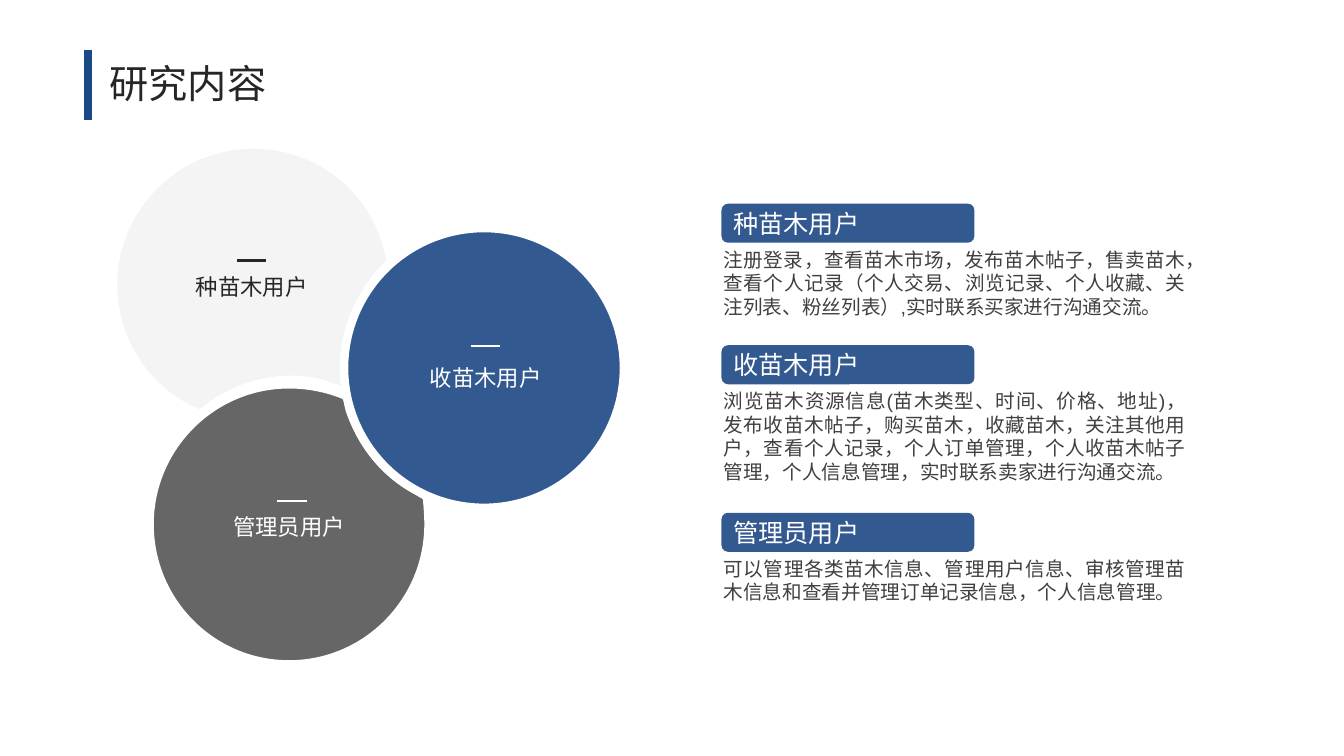
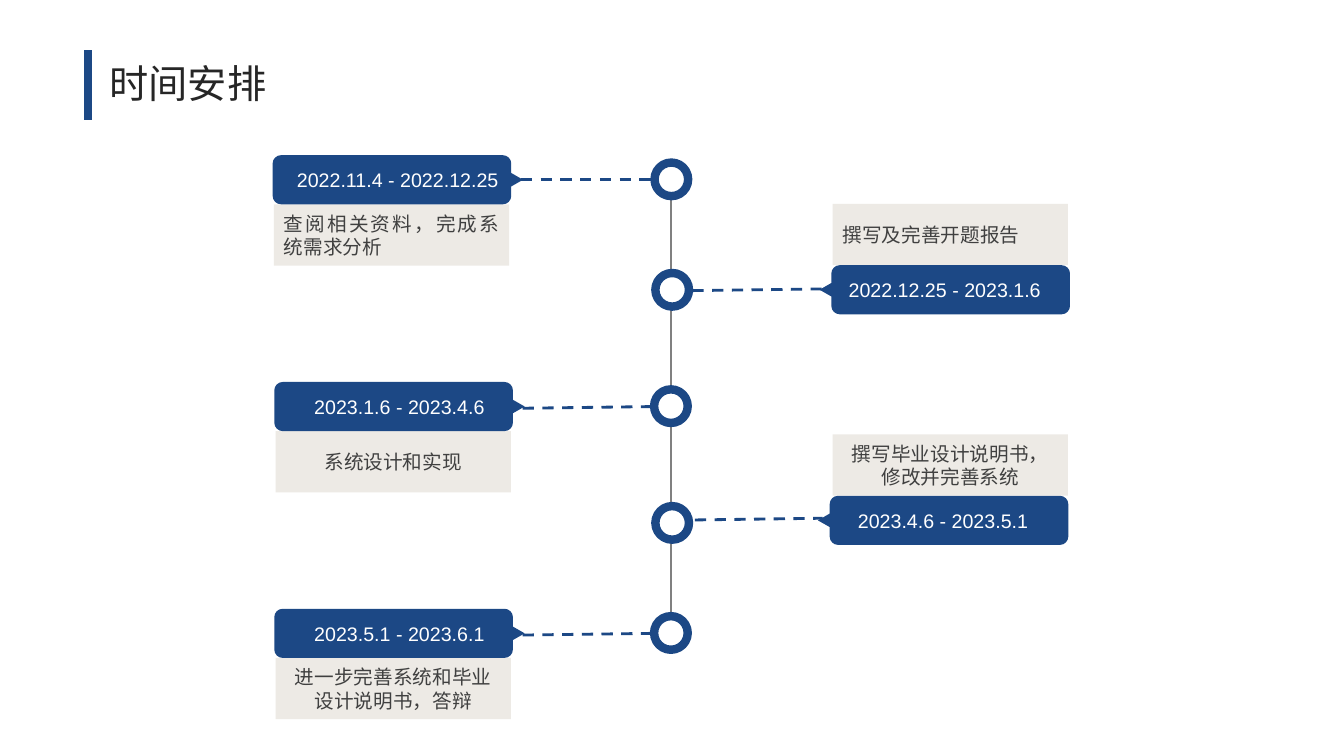
from dataclasses import dataclass

from lxml import etree
from pptx import Presentation
from pptx import util as u
from pptx.dml.color import RGBColor
from pptx.enum import dml, shapes, text
from pptx.oxml import ns


@dataclass(frozen=True)
class Theme:
    font: str = "Arial"
    blue: str = "1C4885"
    ink: str = "262626"
    body: str = "404040"
    pale: str = "F2F2F2"
    sand: str = "EDEAE5"
    gray: str = "808080"
    white: str = "FFFFFF"
    title: int = 28
    head: int = 18
    label: int = 16
    small: int = 14
    thick: int = 6
    thin: int = 2


T = Theme()
CELL = u.Inches(7.5) / 90
LEFT, MID, JUST = text.PP_ALIGN.LEFT, text.PP_ALIGN.CENTER, text.PP_ALIGN.JUSTIFY
TOP, CORE = text.MSO_ANCHOR.TOP, text.MSO_ANCHOR.MIDDLE
GROW = text.MSO_AUTO_SIZE.SHAPE_TO_FIT_TEXT
KIND = shapes.MSO_SHAPE
LINE = shapes.MSO_CONNECTOR.STRAIGHT


def write(item, words, size=T.small, color=T.body, align=MID, anchor=CORE,
          space=None, fit=text.MSO_AUTO_SIZE.NONE):
    frame = item.text_frame
    frame.word_wrap = True
    frame.auto_size = fit
    frame.vertical_anchor = anchor
    para = frame.paragraphs[0]
    para.alignment = align
    para.line_spacing = space
    run = para.add_run()
    run.text = words
    run.font.name = T.font
    run.font.size = u.Pt(size)
    run.font.color.rgb = RGBColor.from_string(color)


def paint(item, fill=None, alpha=100, line=None, width=0, dash=None, bend=""):
    if line:
        item.line.color.rgb = RGBColor.from_string(line)
        item.line.width = u.Pt(width)
        item.line.dash_style = dash
    else:
        item.line.fill.background()
    if fill:
        item.fill.solid()
        item.fill.fore_color.rgb = RGBColor.from_string(fill)
        item.shadow.inherit = False
        if alpha < 100:
            tone = item.element.spPr.find(ns.qn("a:solidFill"))[0]
            etree.SubElement(tone, ns.qn("a:alpha"), val=str(alpha * 1000))
    else:
        etree.SubElement(item.element.spPr, ns.qn("a:effectLst"))
    if bend:
        track = item.element.spPr.find(".//" + ns.qn("a:path"))
        parts = iter(list(track)[1:])
        for kind in bend:
            part = next(parts)
            if kind == "C":
                part.tag = ns.qn("a:cubicBezTo")
                for more in (next(parts), next(parts)):
                    part.append(more[0])
                    track.remove(more)


deck = Presentation()
deck.slide_width = u.Inches(13.33)
deck.slide_height = u.Inches(7.5)

pages = []
for name in ("研究内容", "时间安排"):
    page = deck.slides.add_slide(deck.slide_layouts[5])
    title = page.shapes.title
    title.left, title.top, title.width, title.height = (
        round(n * CELL) for n in (11.85, 5.35, 33.4, 8.9))
    write(title, name, size=T.title, color=T.ink, align=LEFT, anchor=TOP, space=1.2)
    bar = page.shapes.add_connector(LINE, *(
        round(n * CELL) for n in (10.45, 6, 10.45, 14.3)))
    paint(bar, line=T.blue, width=T.thick)
    pages.append(page.shapes)

users, plan = pages

discs = (
    (T.pale, "CLLCCLLLCCLLCC", (
        (30.1, 17.2), (38.3, 17.2), (44.9, 22.9), (46.4, 30.5), (46.6, 31.1),
        (46.1, 31.6), (43.1, 34.6), (41.2, 38.8), (41.2, 43.3), (41.2, 43.9),
        (41.3, 44.4), (41.3, 45), (41.5, 46.1), (41, 46.6), (38, 45.6),
        (37, 45.4), (35.9, 45.2), (34.7, 45.2), (30.7, 45.2), (27, 46.7),
        (24.1, 49.1), (23.9, 49.3), (23.6, 49.2), (17.6, 46.7), (13.45, 40.8),
        (13.45, 33.8), (13.45, 24.7), (21, 17.2), (30.1, 17.2))),
    (T.body, "CLLCLLCCCC", (
        (34.4, 45.75), (36.7, 45.75), (38.9, 46.2), (40.9, 47), (41.3, 47.3),
        (41.6, 48.7), (43, 52.9), (45.8, 56.4), (49.6, 58.4), (50.6, 59),
        (50.8, 59), (50.9, 60.1), (51, 61.3), (51, 62.4), (51, 71.6),
        (43.6, 79.1), (34.4, 79.1), (25.2, 79.1), (17.8, 71.6), (17.8, 62.4),
        (17.8, 53.3), (25.2, 45.75), (34.4, 45.75))),
)
for fill, bend, dots in discs:
    spots = [(x * CELL, y * CELL) for x, y in dots]
    pen = users.build_freeform(*spots[0])
    pen.add_line_segments(spots[1:], close=True)
    paint(pen.convert_to_shape(), fill, 80, T.white, T.thick, bend=bend)

disc = users.add_shape(KIND.OVAL, *(round(n * CELL) for n in (40.95, 27.15, 33.3, 33.3)))
paint(disc, T.blue, 90, T.white, T.thick)

labels = (
    ("种苗木用户", 29.95, 31.9, 29.95, 31.05, T.ink),
    ("管理员用户", 34.4, 60.5, 34.75, 59.65, T.white),
    ("收苗木用户", 57.8, 42.8, 57.8, 41.2, T.white),
)
for words, x, y, mx, my, color in labels:
    box = users.add_textbox(*(round(n * CELL) for n in (x - 14.6, y, 29.2, 4.4)))
    write(box, words, size=T.label, color=color, anchor=TOP, fit=GROW)
    mark = users.add_connector(LINE, *(
        round(n * CELL) for n in (mx - 1.75, my, mx + 1.75, my)))
    paint(mark, line=color, width=T.thin)

roles = (
    ("种苗木用户", 24.25, 9.7,
     "注册登录，查看苗木市场，发布苗木帖子，售卖苗木，查看个人记录（个人交易、浏览记录、"
     "个人收藏、关注列表、粉丝列表）,实时联系买家进行沟通交流。"),
    ("收苗木用户", 41.1, 12.5,
     "浏览苗木资源信息(苗木类型、时间、价格、地址)，发布收苗木帖子，购买苗木，收藏苗木，"
     "关注其他用户，查看个人记录，个人订单管理，个人收苗木帖子管理，个人信息管理，"
     "实时联系卖家进行沟通交流。"),
    ("管理员用户", 61.05, 6.8,
     "可以管理各类苗木信息、管理用户信息、审核管理苗木信息和查看并管理订单记录信息，"
     "个人信息管理。"),
)
for head, y, high, words in roles:
    box = users.add_textbox(*(round(n * CELL) for n in (84.95, y + 4.65, 57.35, high)))
    write(box, words, align=JUST, anchor=TOP, fit=GROW)
    pill = users.add_shape(KIND.ROUNDED_RECTANGLE, *(
        round(n * CELL) for n in (85.87, y, 30.1, 4.65)))
    paint(pill, T.blue, 90)
    write(pill, head, size=T.head, color=T.white, align=JUST)

spine = plan.add_connector(LINE, *(round(n * CELL) for n in (79.9, 19.3, 79.9, 75.2)))
paint(spine, line=T.gray, width=1.25)

WIDE, HIGH, SIDE, TIP, PULL = 29.8, 5.85, 28.4, 0.8, 0.45
half = [(0, 1), (0, PULL), (PULL, 0), (1, 0), (SIDE - 1, 0), (SIDE - PULL, 0),
        (SIDE, PULL), (SIDE, 1), (SIDE, HIGH / 2 - TIP)]
edge = half + [(WIDE, HIGH / 2)] + [(x, HIGH - y) for x, y in reversed(half)]

steps = (
    ("2022.11.4 - 2022.12.25", "查阅相关资料，完成系统需求分析", JUST,
     False, 32.45, 21.4, 79.9, 21.35, (62, 21.4, 77.9, 21.4)),
    ("2022.12.25 - 2023.1.6", "撰写及完善开题报告", JUST,
     True, 97.55, 34.5, 80, 34.5, (82.4, 34.6, 97.8, 34.4)),
    ("2023.1.6 - 2023.4.6", "系统设计和实现", MID,
     False, 32.65, 48.4, 79.85, 48.35, (62.2, 48.6, 77.9, 48.4)),
    ("2023.4.6 - 2023.5.1", "撰写毕业设计说明书，修改并完善系统", MID,
     True, 97.35, 61.95, 80, 62.25, (82.7, 61.9, 97.9, 61.7)),
    ("2023.5.1 - 2023.6.1", "进一步完善系统和毕业设计说明书，答辩", MID,
     False, 32.65, 75.4, 79.85, 75.35, (62.2, 75.6, 77.9, 75.4)),
)
for date, task, align, right, x, y, nx, ny, ends in steps:
    top = y - HIGH / 2
    spot = (99.1, top - 7.3, 28, 7.3) if right else (x + 0.15, top + HIGH, 28, 7.3)
    card = plan.add_shape(KIND.RECTANGLE, *(round(n * CELL) for n in spot))
    paint(card, T.sand)
    write(card, task, align=align)

    spots = [((x + (WIDE - ex if right else ex)) * CELL, (top + ey) * CELL)
             for ex, ey in edge]
    pen = plan.build_freeform(*spots[0])
    pen.add_line_segments(spots[1:], close=True)
    tag = pen.convert_to_shape()
    paint(tag, T.blue, bend="CLCLLLLCLC")
    write(tag, date, color=T.white)

    node = plan.add_shape(KIND.OVAL, *(round(n * CELL) for n in (nx - 2, ny - 2, 4, 4)))
    paint(node, T.white, line=T.blue, width=T.thick)
    wire = plan.add_connector(LINE, *(round(n * CELL) for n in ends))
    paint(wire, line=T.blue, width=T.thin, dash=dml.MSO_LINE.DASH)

deck.save("out.pptx")
